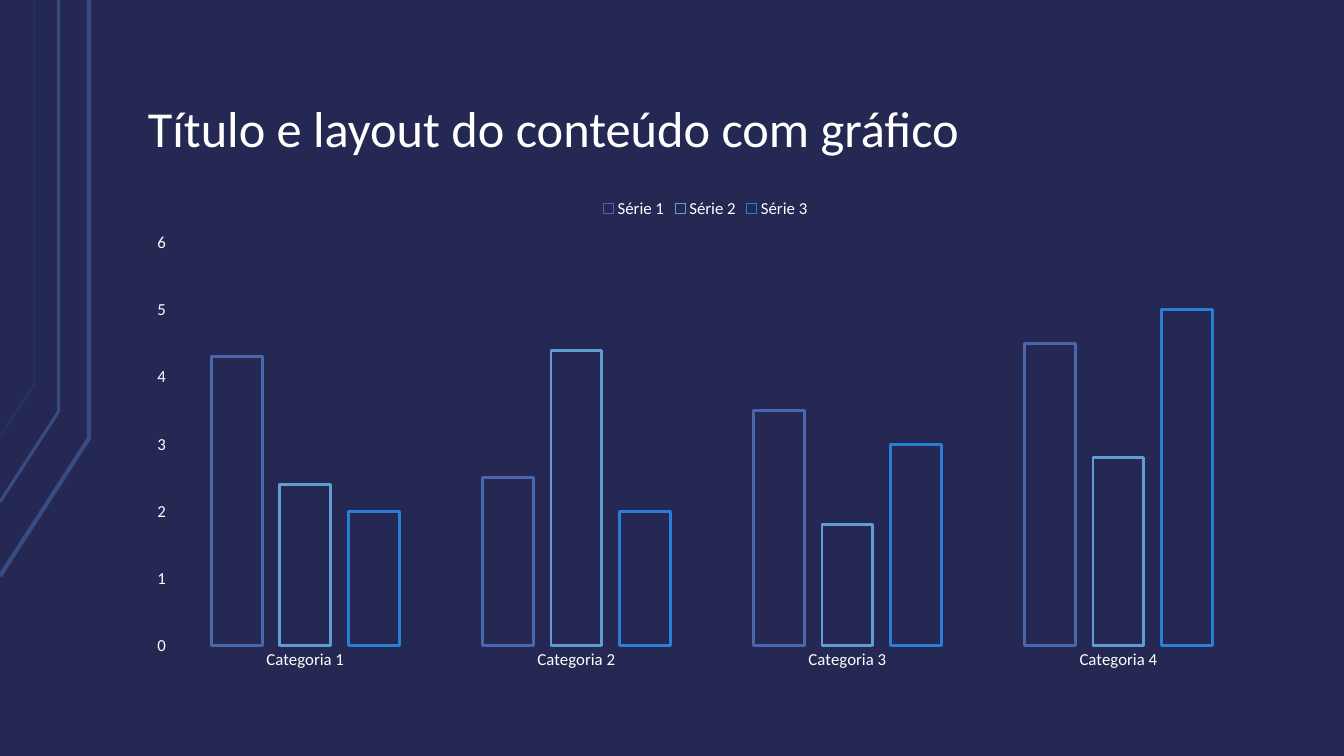
from pptx import Presentation
from pptx.chart.data import CategoryChartData
from pptx.dml.color import RGBColor
from pptx.enum.chart import (XL_CHART_TYPE as ChartType, XL_LEGEND_POSITION as LegendPos,
                             XL_TICK_MARK as Tick)
from pptx.enum.text import MSO_ANCHOR as Anchor, PP_ALIGN as Align
from pptx.util import Pt

NAVY = RGBColor(0x24, 0x28, 0x52)
WHITE = RGBColor(0xFF, 0xFF, 0xFF)
STEEL = RGBColor(0x38, 0x4C, 0x81)
DIM = RGBColor(0x25, 0x31, 0x56)
INDIGO = RGBColor(0x4A, 0x66, 0xAC)
SKY = RGBColor(0x62, 0x9D, 0xD1)
AZURE = RGBColor(0x29, 0x7F, 0xD5)

CATEGORIES = [f"Categoria {n}" for n in range(1, 5)]
SERIES = [("Série 1", (4.3, 2.5, 3.5, 4.5), INDIGO),
          ("Série 2", (2.4, 4.4, 1.8, 2.8), SKY),
          ("Série 3", (2, 2, 3, 5), AZURE)]
# Bent lines: x of the vertical part, y of the bend, y at the left edge, width, colour
BENT_LINES = [(63.6, 313, 411.5, 3, STEEL),
              (41.8, 294, 358.5, 2.25, STEEL),
              (24.5, 274.5, 312, 2, DIM)]


def apply(obj, values):
    """Set each attribute named in values on obj."""
    for name, value in values.items():
        setattr(obj, name, value)


class Deck:
    """Holds the style and the current slide."""

    font = "Calibri"

    def __init__(self, prs):
        """Add a title-only slide with the dark background."""
        self.s = prs.slides.add_slide(prs.slide_layouts[5])
        fill = self.s.background.fill
        fill.solid()
        fill.fore_color.rgb = NAVY

    def style_font(self, font, size):
        """Give a font the deck's typeface and colour."""
        apply(font, {"name": self.font, "size": Pt(size), "bold": False})
        font.color.rgb = WHITE

    def title(self, text, left, top, width, height):
        """Place and format the title placeholder."""
        sp = self.s.shapes.title
        apply(sp, {"left": Pt(left), "top": Pt(top), "width": Pt(width), "height": Pt(height)})
        tf = sp.text_frame
        apply(tf, {"vertical_anchor": Anchor.BOTTOM, "word_wrap": True,
                   "margin_left": Pt(9.6), "margin_right": Pt(9.6),
                   "margin_top": Pt(4.8), "margin_bottom": Pt(4.8)})
        p = tf.paragraphs[0]
        apply(p, {"alignment": Align.LEFT, "line_spacing": 0.9})
        r = p.add_run()
        r.text = text
        self.style_font(r.font, 36)

    def polyline(self, points, weight, color):
        """Draw an open, unfilled outline through the points."""
        (x, y), *rest = [(Pt(x), Pt(y)) for x, y in points]
        builder = self.s.shapes.build_freeform(x, y)
        builder.add_line_segments(rest, close=False)
        sp = builder.convert_to_shape()
        sp.shadow.inherit = False
        sp.fill.background()
        sp.line.width = Pt(weight)
        sp.line.color.rgb = color

    def column_chart(self, categories, series, left, top, width, height):
        """Add a clustered column chart with outlined bars."""
        data = CategoryChartData()
        data.categories = categories
        for name, values, _ in series:
            data.add_series(name, values)
        chart = self.s.shapes.add_chart(ChartType.COLUMN_CLUSTERED, Pt(left), Pt(top),
                                        Pt(width), Pt(height), data).chart
        apply(chart, {"has_title": False, "has_legend": True})
        self.style_font(chart.font, 10)
        apply(chart.legend, {"position": LegendPos.TOP, "include_in_layout": False})
        self.style_font(chart.legend.font, 12)
        for axis in (chart.category_axis, chart.value_axis):
            apply(axis, {"has_major_gridlines": False, "major_tick_mark": Tick.NONE,
                         "minor_tick_mark": Tick.NONE})
            axis.format.line.fill.background()
            self.style_font(axis.tick_labels.font, 12)
        apply(chart.value_axis, {"minimum_scale": 0, "maximum_scale": 6, "major_unit": 1})
        plot = chart.plots[0]
        apply(plot, {"gap_width": 164, "overlap": -35, "vary_by_categories": False})
        for ser, (_, _, color) in zip(plot.series, series):
            ser.format.fill.background()
            ser.format.line.width = Pt(2)
            ser.format.line.color.rgb = color


prs = Presentation()
apply(prs, {"slide_width": Pt(960), "slide_height": Pt(540)})
deck = Deck(prs)
for x, bend, foot, weight, color in BENT_LINES:
    deck.polyline([(0, foot), (x, bend), (x, 0)], weight, color)
deck.title("Título e layout do conteúdo com gráfico", 96, 21.6, 816, 96.5)
deck.column_chart(CATEGORIES, SERIES, 96, 134, 816, 351.5)
prs.save("out.pptx")
